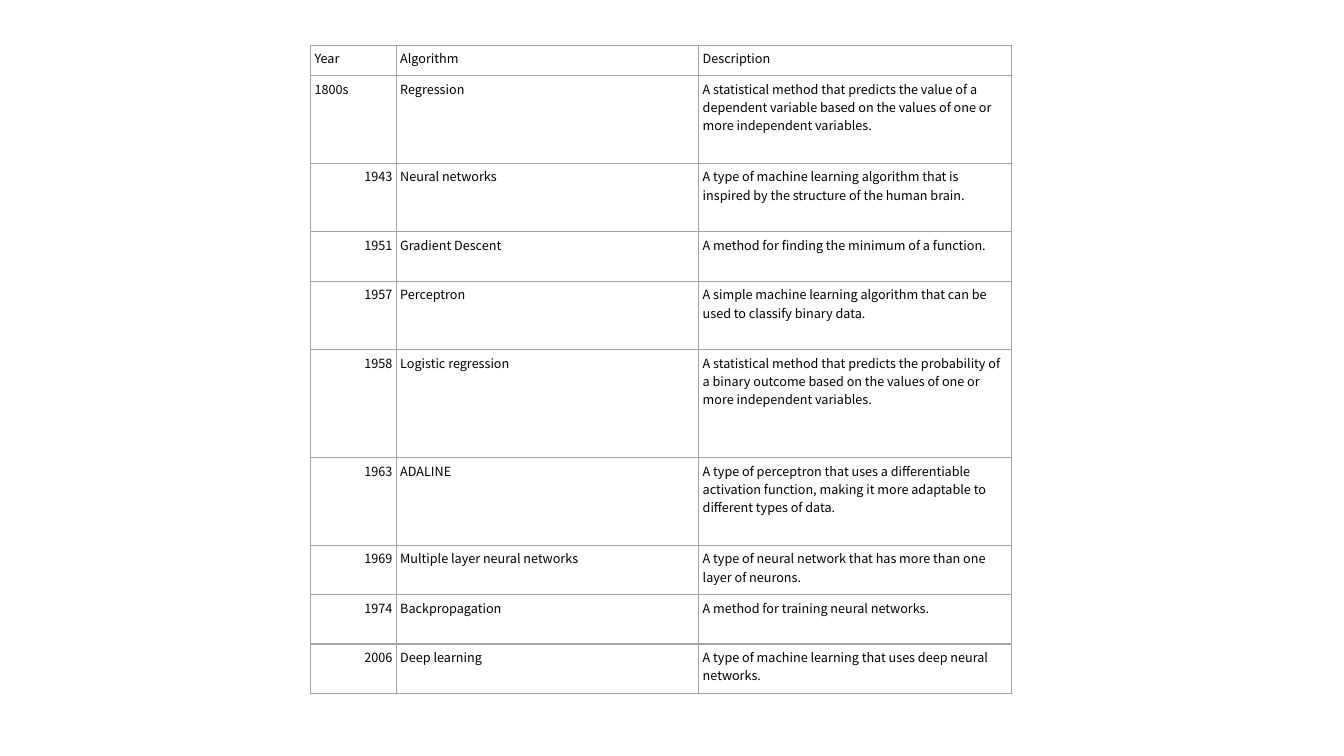
import dataclasses

import lxml.etree
import pptx
import pptx.dml.color
import pptx.enum.text
import pptx.oxml.ns
import pptx.table
import pptx.util

COLORS = {"text": "000000", "line": "A3A3A3"}
FONT = "Noto Sans CJK KR"
WIDTHS = (0.85, 3, 3.1)
PAD = pptx.util.Inches(0.04)


@dataclasses.dataclass
class Entry:
    year: str
    name: str
    about: str
    height: float


ENTRIES = [
    Entry("Year", "Algorithm", "Description", 0.3),
    Entry("1800s", "Regression",
          "A statistical method that predicts the value of a dependent variable "
          "based on the values of one or more independent variables.", 0.87),
    Entry("1943", "Neural networks",
          "A type of machine learning algorithm that is inspired by the "
          "structure of the human brain.", 0.68),
    Entry("1951", "Gradient Descent",
          "A method for finding the minimum of a function.", 0.49),
    Entry("1957", "Perceptron",
          "A simple machine learning algorithm that can be used to classify "
          "binary data.", 0.68),
    Entry("1958", "Logistic regression",
          "A statistical method that predicts the probability of a binary outcome "
          "based on the values of one or more independent variables.", 1.07),
    Entry("1963", "ADALINE",
          "A type of perceptron that uses a differentiable activation function, "
          "making it more adaptable to different types of data.", 0.87),
    Entry("1969", "Multiple layer neural networks",
          "A type of neural network that has more than one layer of neurons.", 0.49),
    Entry("1974", "Backpropagation", "A method for training neural networks.", 0.49),
    Entry("2006", "Deep learning",
          "A type of machine learning that uses deep neural networks.", 0.49),
]


def add_edges(cell: pptx.table._Cell) -> None:
    """Draw a thin line on all four sides; edges must precede the fill."""
    qn = pptx.oxml.ns.qn
    props = cell._tc.get_or_add_tcPr()
    for spot, side in enumerate(("lnL", "lnR", "lnT", "lnB")):
        edge = lxml.etree.Element(qn(f"a:{side}"), w=str(pptx.util.Pt(1)))
        fill = lxml.etree.SubElement(edge, qn("a:solidFill"))
        lxml.etree.SubElement(fill, qn("a:srgbClr"), val=COLORS["line"])
        props.insert(spot, edge)


def fill_cell(cell: pptx.table._Cell, text: str) -> None:
    cell.margin_left = cell.margin_right = PAD
    cell.margin_top = cell.margin_bottom = PAD
    cell.fill.background()
    add_edges(cell)
    para = cell.text_frame.paragraphs[0]
    # Plain numbers sit on the right
    align = pptx.enum.text.PP_ALIGN
    para.alignment = align.RIGHT if text.isdigit() else align.LEFT
    run = para.add_run()
    run.text = text
    run.font.name = FONT
    run.font.size = pptx.util.Pt(9)
    run.font.color.rgb = pptx.dml.color.RGBColor.from_string(COLORS["text"])


def main() -> None:
    deck = pptx.Presentation()
    deck.slide_width = pptx.util.Inches(13.33)
    deck.slide_height = pptx.util.Inches(7.5)
    slide = deck.slides.add_slide(deck.slide_layouts[6])

    # Timeline table
    frame = slide.shapes.add_table(
        len(ENTRIES), len(WIDTHS),
        pptx.util.Inches(3.08), pptx.util.Inches(0.45),
        pptx.util.Inches(sum(WIDTHS)),
        pptx.util.Inches(sum(entry.height for entry in ENTRIES)))
    table = frame.table
    table.first_row = False
    table.horz_banding = False
    for column, width in zip(table.columns, WIDTHS):
        column.width = pptx.util.Inches(width)

    # One row per algorithm, below the heading
    for row, entry in zip(table.rows, ENTRIES):
        row.height = pptx.util.Inches(entry.height)
        for cell, text in zip(row.cells, (entry.year, entry.name, entry.about)):
            fill_cell(cell, text)

    deck.save("out.pptx")


if __name__ == "__main__":
    main()
